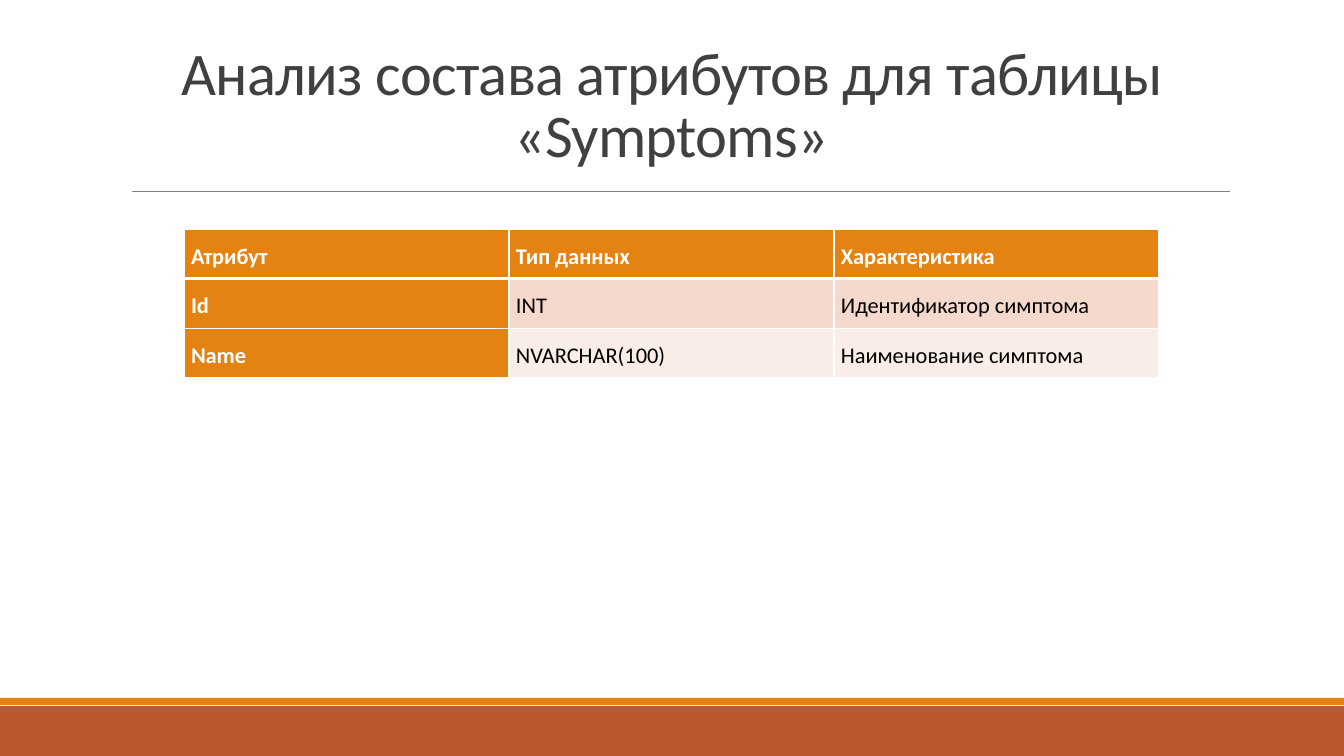
from lxml.etree import SubElement
from pptx import Presentation
from pptx.dml.color import RGBColor
from pptx.enum.shapes import MSO_CONNECTOR, MSO_SHAPE
from pptx.enum.text import MSO_ANCHOR, MSO_AUTO_SIZE, PP_ALIGN
from pptx.oxml.ns import qn
from pptx.util import Emu, Pt

COLORS = {
    "white": "FFFFFF", "black": "000000", "title": "404040", "rule": "808080",
    "orange": "E48312", "rust": "BD582C", "band": "F5D9CC", "pale": "FAEDE7",
}
ROWS = [
    ("Атрибут", "Тип данных", "Характеристика"),
    ("Id", "INT", "Идентификатор симптома"),
    ("Name", "NVARCHAR(100)", "Наименование симптома"),
]


def px(n):
    return Emu(round(n * 914400 / 100.8))


def rgb(name):
    return RGBColor.from_string(COLORS[name])


class Deck:
    font = "Calibri"

    def __init__(self, width, height):
        self.prs = Presentation()
        self.prs.slide_width, self.prs.slide_height = px(width), px(height)
        self.s = self.prs.slides.add_slide(self.prs.slide_layouts[5])

    def style(self, p, size, color, bold, spacing):
        p.line_spacing = spacing
        for r in p.runs:
            r.font.name, r.font.size, r.font.bold = self.font, Pt(size), bold
            r.font.color.rgb = rgb(color)

    def bar(self, x, y, w, h, color):
        sp = self.s.shapes.add_shape(MSO_SHAPE.RECTANGLE, px(x), px(y), px(w), px(h))
        sp.shadow.inherit = False
        sp.fill.solid()
        sp.fill.fore_color.rgb = rgb(color)
        sp.line.fill.background()

    def rule(self, x1, x2, y, color):
        line = self.s.shapes.add_connector(
            MSO_CONNECTOR.STRAIGHT, px(x1), px(y), px(x2), px(y))
        line.line.color.rgb = rgb(color)
        line.line.width = Pt(0.5)
        SubElement(line._element.spPr, qn("a:effectLst"))

    def title(self, text, x, y, w, h):
        sp = self.s.shapes.title
        sp.left, sp.top, sp.width, sp.height = px(x), px(y), px(w), px(h)
        tf = sp.text_frame
        tf.text = text
        tf.word_wrap = True
        tf.auto_size = MSO_AUTO_SIZE.NONE
        tf.vertical_anchor = MSO_ANCHOR.BOTTOM
        p = tf.paragraphs[0]
        p.alignment = PP_ALIGN.CENTER
        self.style(p, 43.2, "title", False, 0.85)
        p.runs[0]._r.get_or_add_rPr().set("spc", "-50")

    def border(self, cell, side, width):
        ln = SubElement(cell._tc.get_or_add_tcPr(), qn(f"a:ln{side}"), w=str(Pt(width)))
        fill = SubElement(ln, qn("a:solidFill"))
        SubElement(fill, qn("a:srgbClr"), val=COLORS["white"])

    def cell(self, cell, text, row, col):
        accent = row == 0 or col == 0
        cell.margin_left = cell.margin_right = px(7)
        cell.margin_top = cell.margin_bottom = 0
        widths = {"L": 1, "R": 1, "T": 3 if row == 1 else 1, "B": 3 if row == 0 else 1}
        for side, width in widths.items():
            self.border(cell, side, width)
        cell.fill.solid()
        cell.fill.fore_color.rgb = rgb("orange" if accent else "band" if row % 2 else "pale")
        cell.text_frame.text = text
        self.style(cell.text_frame.paragraphs[0], 16,
                   "white" if accent else "black", accent, 1.5)

    def table(self, rows, x, y, w, h):
        table = self.s.shapes.add_table(
            len(rows), len(rows[0]), px(x), px(y), px(w), px(h)).table
        table.first_col = True
        for i, row in enumerate(rows):
            for j, text in enumerate(row):
                self.cell(table.cell(i, j), text, i, j)


def main():
    deck = Deck(1344, 756)
    deck.bar(0, 706, 1344, 50, "rust")
    deck.bar(0, 698, 1344, 7, "orange")
    deck.rule(132, 1230, 191, "rule")
    deck.title("Анализ состава атрибутов для таблицы «Symptoms»", 101, 68, 1141, 107)
    deck.table(ROWS, 184, 229, 975, 149)
    deck.prs.save("out.pptx")


if __name__ == "__main__":
    main()
